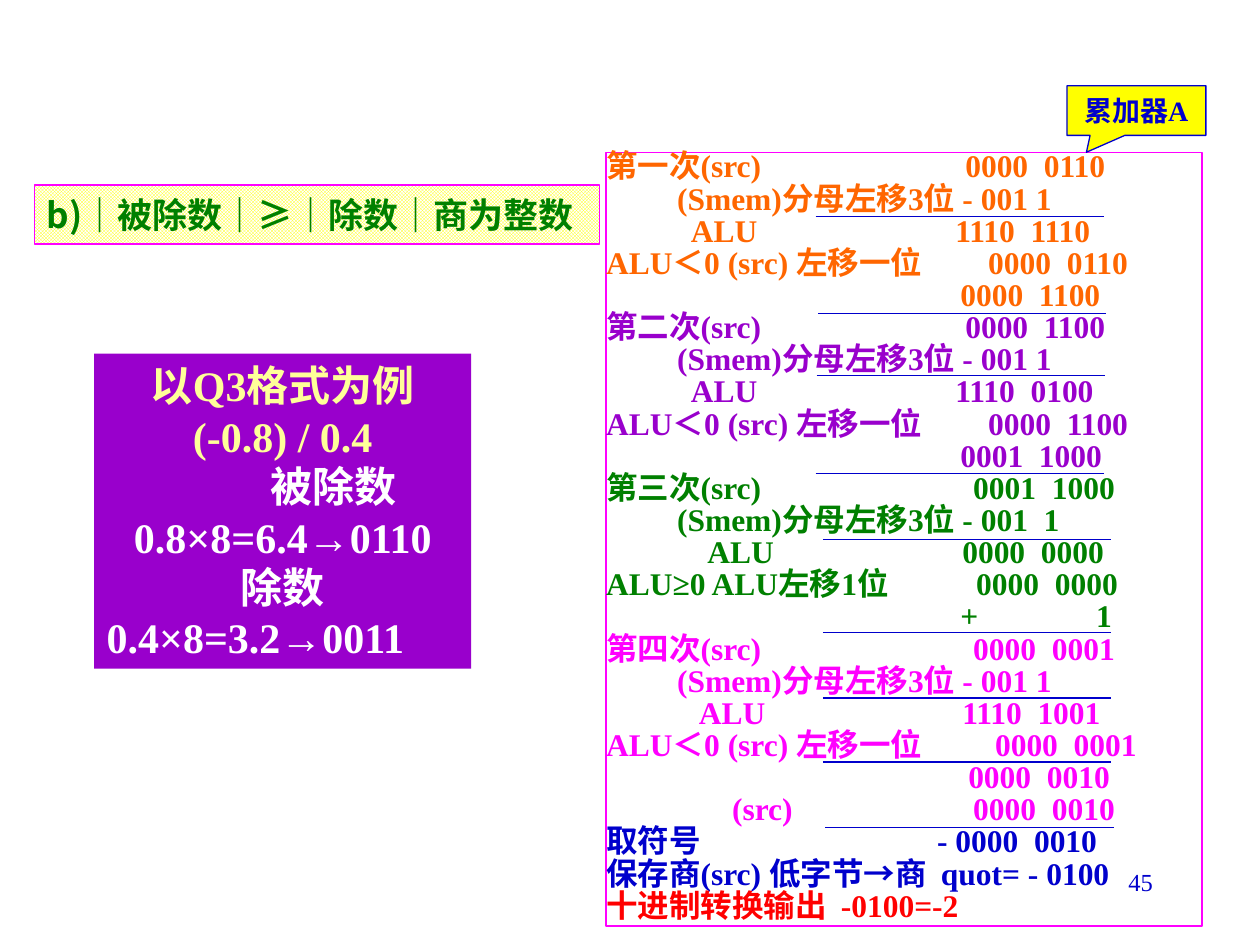
from lxml.etree import SubElement
from pptx import Presentation
from pptx.dml.color import RGBColor
from pptx.enum.dml import MSO_PATTERN
from pptx.enum.shapes import MSO_CONNECTOR, MSO_SHAPE
from pptx.enum.text import MSO_ANCHOR, PP_ALIGN
from pptx.oxml.ns import qn
from pptx.util import Cm, Pt

COLORS = {
    "orange": "FF6600", "purple": "9900CC", "green": "008000",
    "magenta": "FF00FF", "blue": "0000CC", "red": "FF0000",
    "yellow": "FFFF00", "cream": "FFFF99", "white": "FFFFFF",
}
SERIF = "Times New Roman"
SANS = "Noto Sans CJK SC"

SUBTRACT = ("\t(Smem)分母左移3位 - 001 1", [1.43])
STEPS = [
    ("orange", [
        ("第一次(src)\t0000  0110", [7.24]),
        SUBTRACT,
        ("\tALU\t1110  1110", [1.71, 7.04]),
        ("ALU＜0 (src) 左移一位\t0000  0110", [7.7]),
        ("\t0000  1100", [7.14]),
    ]),
    ("purple", [
        ("第二次(src)\t0000  1100", [7.24]),
        SUBTRACT,
        ("\tALU\t1110  0100", [1.71, 7.04]),
        ("ALU＜0 (src) 左移一位\t0000  1100", [7.7]),
        ("\t0001  1000", [7.14]),
    ]),
    ("green", [
        ("第三次(src)\t0001  1000", [7.4]),
        ("\t(Smem)分母左移3位 - 001  1", [1.43]),
        ("\tALU\t0000  0000", [2.04, 7.18]),
        ("ALU≥0 ALU左移1位\t0000  0000", [7.46]),
        ("\t+\t1", [7.14, 9.88]),
    ]),
    ("magenta", [
        ("第四次(src)\t0000  0001", [7.4]),
        SUBTRACT,
        ("\tALU\t1110  1001", [1.87, 7.18]),
        ("ALU＜0 (src) 左移一位\t0000  0001", [7.84]),
        ("\t0000  0010", [7.3]),
        ("\t(src)\t0000  0010", [2.54, 7.4]),
    ]),
    ("blue", [
        ("取符号\t- 0000  0010", [6.67]),
        ("保存商(src) 低字节→商  quot= - 0100", []),
    ]),
    ("red", [("十进制转换输出  -0100=-2", [])]),
]
RULES = [
    (4.22, 1.3), (4.27, 3.25), (4.24, 4.5), (4.22, 6.48), (4.37, 7.8),
    (4.37, 9.68), (4.37, 11), (4.37, 12.29), (4.42, 13.61),
]
RULE_LENGTH = 5.81


def color(name):
    """Return the named palette colour."""
    return RGBColor.from_string(COLORS[name])


def add_text(frame, text, *, size, ink, font=SERIF, bold=True,
             align=PP_ALIGN.LEFT, spacing=None, indent=0, tabs=()):
    """Write one formatted paragraph, reusing the frame's empty first one."""
    paragraph = frame.paragraphs[0]
    if paragraph.runs:
        paragraph = frame.add_paragraph()
    properties = paragraph._p.get_or_add_pPr()
    if indent:
        properties.set("marL", str(Cm(indent)))
    if tabs:
        tab_list = SubElement(properties, qn("a:tabLst"))
        for stop in tabs:
            SubElement(tab_list, qn("a:tab"), pos=str(Cm(stop)), algn="l")
    paragraph.alignment = align
    paragraph.line_spacing = spacing
    run = paragraph.add_run()
    run.text = text
    run.font.name = font
    run.font.size = Pt(size)
    run.font.bold = bold
    run.font.color.rgb = color(ink)
    SubElement(run._r.get_or_add_rPr(), qn("a:ea"), typeface=SANS)


def add_box(slide, box, kind=MSO_SHAPE.RECTANGLE, fill=None, line=None):
    """Add a flat preset shape in the box given in centimetres."""
    shape = slide.shapes.add_shape(kind, *map(Cm, box))
    shape.shadow.inherit = False
    if fill:
        shape.fill.solid()
        shape.fill.fore_color.rgb = color(fill)
    else:
        shape.fill.background()
    if line:
        shape.line.color.rgb = color(line)
        shape.line.width = Pt(0.75)
    else:
        shape.line.fill.background()
    shape.text_frame.word_wrap = True
    return shape


def add_rule(slide, left, top):
    """Add one horizontal sum rule."""
    rule = slide.shapes.add_connector(
        MSO_CONNECTOR.STRAIGHT, Cm(left), Cm(top), Cm(left + RULE_LENGTH), Cm(top))
    rule.line.color.rgb = color("blue")
    rule.line.width = Pt(0.75)
    SubElement(rule._element.spPr, qn("a:effectLst"))


def add_heading(slide, box):
    """Format the title placeholder as the patterned heading."""
    title = slide.shapes.title
    title.left, title.top, title.width, title.height = map(Cm, box)
    title.fill.patterned()
    title.fill.pattern = MSO_PATTERN.SMALL_CHECKER_BOARD
    title.fill.fore_color.rgb = color("yellow")
    title.fill.back_color.rgb = color("white")
    title.line.color.rgb = color("magenta")
    title.line.width = Pt(0.75)
    title.text_frame.word_wrap = True
    title.text_frame.vertical_anchor = MSO_ANCHOR.MIDDLE
    add_text(title.text_frame, "b)｜被除数｜≥｜除数｜商为整数", size=20,
             ink="green", font=SANS, align=PP_ALIGN.JUSTIFY)


def add_division(slide, box):
    """Add the step-by-step division panel with its sum rules."""
    frame = add_box(slide, box, line="magenta").text_frame
    frame.margin_left = frame.margin_right = 0
    frame.margin_top = frame.margin_bottom = 0
    frame.vertical_anchor = MSO_ANCHOR.TOP
    for ink, rows in STEPS:
        for text, tabs in rows:
            add_text(frame, text, size=18, ink=ink, spacing=0.85, tabs=tabs)
    for left, top in RULES:
        add_rule(slide, box[0] + left, box[1] + top)


def add_example(slide, box):
    """Add the Q3 format example."""
    frame = add_box(slide, box, fill="purple").text_frame
    frame.vertical_anchor = MSO_ANCHOR.TOP
    lines = [
        ("以Q3格式为例", "cream", PP_ALIGN.CENTER, 0),
        ("(-0.8) / 0.4", "cream", PP_ALIGN.CENTER, 0),
        ("被除数", "white", PP_ALIGN.CENTER, 2.06),
        ("0.8×8=6.4→0110", "white", PP_ALIGN.CENTER, 0),
        ("除数", "white", PP_ALIGN.CENTER, 0),
        ("0.4×8=3.2→0011", "white", PP_ALIGN.LEFT, 0),
    ]
    for text, ink, align, indent in lines:
        add_text(frame, text, size=24, ink=ink, align=align, indent=indent)


def add_callout(slide, box):
    """Add the accumulator callout."""
    callout = add_box(slide, box, MSO_SHAPE.RECTANGULAR_CALLOUT, "yellow", "blue")
    callout.adjustments[0] = -0.36
    callout.adjustments[1] = 0.84
    callout.text_frame.word_wrap = False
    callout.text_frame.vertical_anchor = MSO_ANCHOR.MIDDLE
    add_text(callout.text_frame, "累加器A", size=16, ink="blue", align=PP_ALIGN.CENTER)


def add_page_number(slide, box):
    """Add the page number."""
    frame = slide.shapes.add_textbox(*map(Cm, box)).text_frame
    frame.word_wrap = True
    add_text(frame, "45", size=14, ink="blue", bold=False, align=PP_ALIGN.RIGHT)


def main():
    """Build and save the slide."""
    presentation = Presentation()
    presentation.slide_width, presentation.slide_height = Cm(25.4), Cm(19.05)
    slide = presentation.slides.add_slide(presentation.slide_layouts[5])
    add_page_number(slide, (18.21, 17.35, 5.28, 1.27))
    add_division(slide, (12.22, 3.07, 12.01, 15.6))
    add_heading(slide, (0.69, 3.73, 11.4, 1.19))
    add_example(slide, (1.9, 7.13, 7.6, 6.35))
    add_callout(slide, (21.51, 1.73, 2.8, 1))
    presentation.save("out.pptx")


if __name__ == "__main__":
    main()
